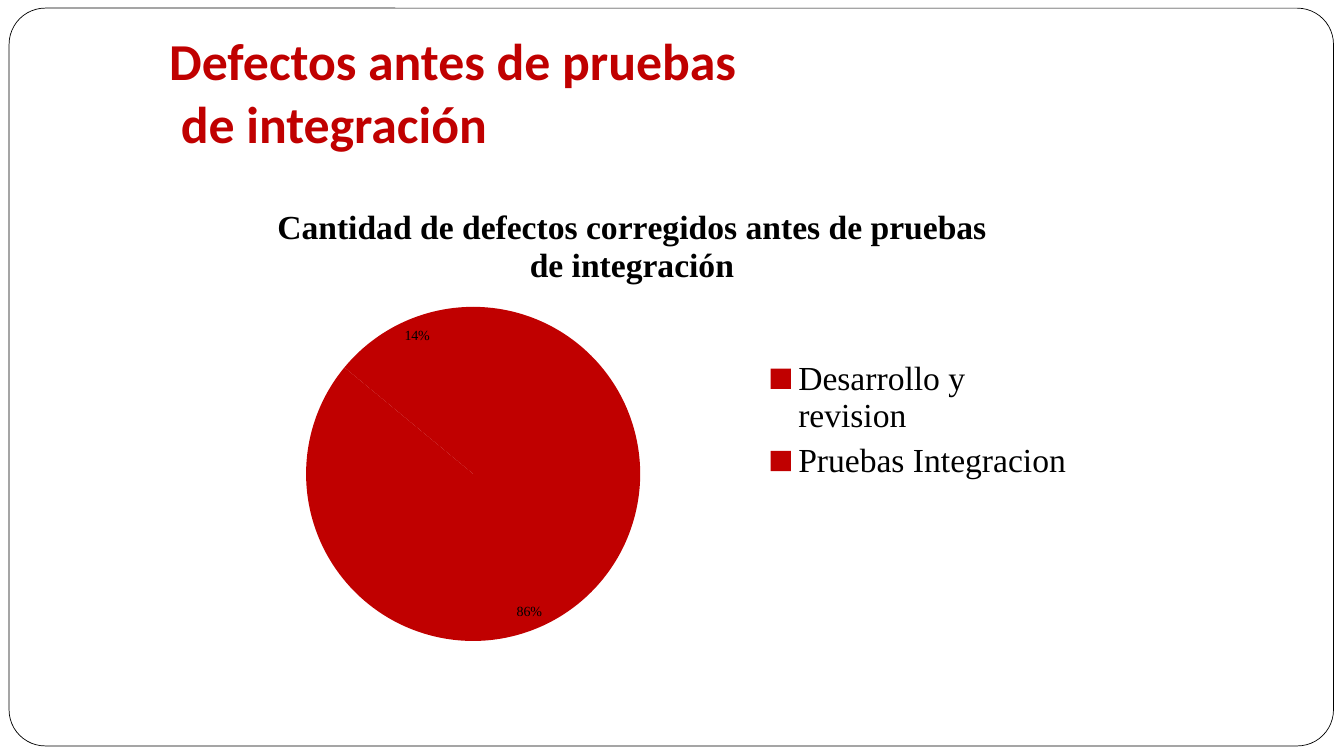
from lxml import etree
from pptx import Presentation
from pptx import util as u
from pptx.chart import data as chart_data
from pptx.dml import color
from pptx.enum import chart as chart_enum, shapes, text
from pptx.oxml import ns

RED = "C00000"
BLACK = "000000"
WHITE = "FFFFFF"


def rgb(value):
    return color.RGBColor.from_string(value)


def format_font(font, size, name="Times New Roman", fill=BLACK, bold=False):
    font.size = u.Pt(size)
    font.name = name
    font.bold = bold
    font.color.rgb = rgb(fill)


def write_text(paragraph, content, indent=0, **font_format):
    if indent:
        paragraph._p.get_or_add_pPr().set("marL", str(u.Pt(indent)))
    format_font(paragraph.add_run().font, **font_format)
    paragraph.runs[0].text = content


def add_frame(slide, left, top, width, height):
    frame = slide.shapes.add_shape(
        shapes.MSO_SHAPE.ROUNDED_RECTANGLE,
        u.Pt(left), u.Pt(top), u.Pt(width), u.Pt(height))
    frame.adjustments[0] = 0.049
    frame.shadow.inherit = False
    frame.fill.solid()
    frame.fill.fore_color.rgb = rgb(WHITE)
    frame.line.color.rgb = rgb(BLACK)
    frame.line.width = u.Pt(0.5)


def add_title(slide, left, top, width, height):
    box = slide.shapes.add_textbox(u.Pt(left), u.Pt(top), u.Pt(width), u.Pt(height))
    frame = box.text_frame
    frame.word_wrap = True
    frame.vertical_anchor = text.MSO_ANCHOR.TOP
    title_format = dict(size=37, name="Calibri", fill=RED, bold=True)
    write_text(frame.paragraphs[0], "Defectos antes de pruebas", **title_format)
    write_text(frame.add_paragraph(), "de integración", indent=8.4, **title_format)


def set_plot_layout(chart, **position):
    plot_area = chart._chartSpace.chart.plotArea
    for old_layout in plot_area.findall(ns.qn("c:layout")):
        plot_area.remove(old_layout)
    layout = etree.Element(ns.qn("c:layout"))
    manual = etree.SubElement(layout, ns.qn("c:manualLayout"))
    settings = dict(layoutTarget="inner", xMode="edge", yMode="edge", **position)
    for tag, value in settings.items():
        etree.SubElement(manual, ns.qn("c:" + tag)).set("val", str(value))
    plot_area.insert(0, layout)


def add_defect_chart(slide, left, top, width, height):
    defects = chart_data.CategoryChartData()
    defects.categories = ["Desarrollo y revision", "Pruebas Integracion"]
    defects.add_series("Series 1", (86, 14))
    chart = slide.shapes.add_chart(
        chart_enum.XL_CHART_TYPE.PIE,
        u.Pt(left), u.Pt(top), u.Pt(width), u.Pt(height), defects).chart
    format_font(chart.font, 10)

    chart.has_title = True
    write_text(chart.chart_title.text_frame.paragraphs[0],
               "Cantidad de defectos corregidos antes de pruebas de integración",
               size=24, bold=True)
    chart.chart_title.include_in_layout = False

    chart.has_legend = True
    chart.legend.position = chart_enum.XL_LEGEND_POSITION.RIGHT
    chart.legend.include_in_layout = False
    format_font(chart.legend.font, 24)

    plot = chart.plots[0]
    plot.vary_by_categories = True
    plot.has_data_labels = True
    labels = plot.data_labels
    labels.show_value = False
    labels.show_percentage = True
    labels.number_format = "0%"
    labels.number_format_is_linked = False
    labels.position = chart_enum.XL_LABEL_POSITION.INSIDE_END
    format_font(labels.font, 10)
    for index in range(2):
        slice_format = plot.series[0].points[index].format
        slice_format.fill.solid()
        slice_format.fill.fore_color.rgb = rgb(RED)
        slice_format.line.fill.background()
    set_plot_layout(chart, x=0.14, y=0.26, w=0.37, h=0.71)


def main():
    presentation = Presentation()
    presentation.slide_width = u.Pt(960)
    presentation.slide_height = u.Pt(540)
    slide = presentation.slides.add_slide(presentation.slide_layouts[6])
    add_frame(slide, 6.5, 5.8, 946, 527)
    add_title(slide, 113.8, 17.3, 786, 100)
    add_defect_chart(slide, 127.4, 131.8, 648, 336.2)
    presentation.save("out.pptx")


if __name__ == "__main__":
    main()
